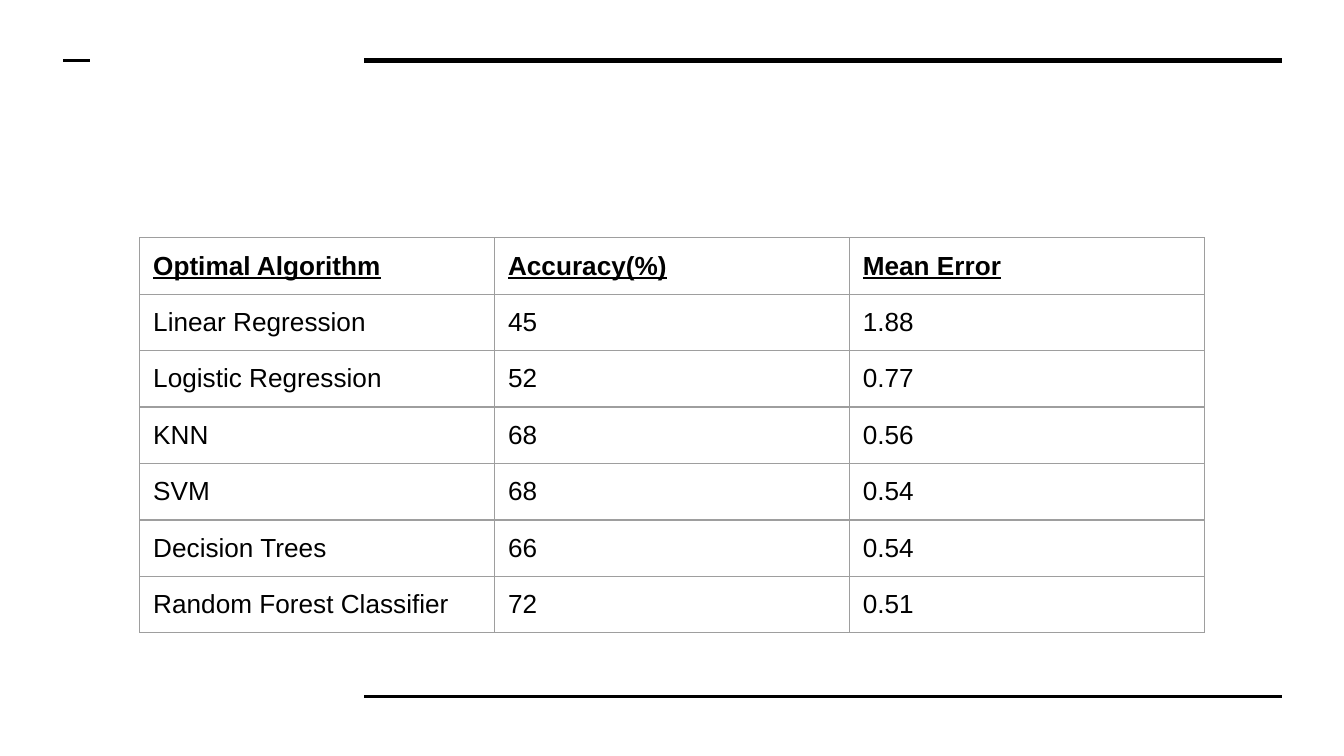
from lxml import etree
from pptx import Presentation
from pptx.dml.color import RGBColor
from pptx.enum.shapes import MSO_CONNECTOR
from pptx.oxml.ns import qn
from pptx.util import Inches, Pt

STRAIGHT = MSO_CONNECTOR.STRAIGHT
BLACK = RGBColor(0x00, 0x00, 0x00)
GREY = RGBColor(0x9E, 0x9E, 0x9E)

SLIDE_WIDTH = Inches(10)
SLIDE_HEIGHT = SLIDE_WIDTH * 9 // 16
FONT_NAME = "Arial"
FONT_SIZE = Pt(14)
CELL_MARGIN = Inches(0.1)
BORDER_WIDTH = Pt(0.75)
TABLE_LEFT, TABLE_TOP = Inches(1.04), Inches(1.77)
COLUMN_WIDTH, ROW_HEIGHT = Inches(2.64), Inches(0.42)

# Left and right ends, height on the slide, thickness in points
RULES = [
    (2.71, 9.54, 0.45, 3),
    (2.71, 9.54, 5.18, 1.5),
    (0.47, 0.67, 0.45, 1.5),
]

RESULTS = [
    ("Optimal Algorithm", "Accuracy(%)", "Mean Error"),
    ("Linear Regression", "45", "1.88"),
    ("Logistic Regression", "52", "0.77"),
    ("KNN", "68", "0.56"),
    ("SVM", "68", "0.54"),
    ("Decision Trees", "66", "0.54"),
    ("Random Forest Classifier", "72", "0.51"),
]


def add_rule(slide, left, right, height, thickness):
    """Draw a horizontal black line without a shadow."""
    rule = slide.shapes.add_connector(
        STRAIGHT, Inches(left), Inches(height), Inches(right), Inches(height)
    )
    rule.line.color.rgb = BLACK
    rule.line.width = Pt(thickness)
    etree.SubElement(rule._element.spPr, qn("a:effectLst"))


def set_borders(cell):
    properties = cell._tc.get_or_add_tcPr()
    for position, side in enumerate(("lnL", "lnR", "lnT", "lnB")):
        border = etree.Element(qn(f"a:{side}"), w=str(BORDER_WIDTH))
        fill = etree.SubElement(border, qn("a:solidFill"))
        etree.SubElement(fill, qn("a:srgbClr"), val=str(GREY))
        properties.insert(position, border)


def fill_cell(cell, text, is_header):
    cell.text = text
    cell.margin_left = cell.margin_right = CELL_MARGIN
    cell.margin_top = cell.margin_bottom = CELL_MARGIN
    cell.fill.background()
    set_borders(cell)
    font = cell.text_frame.paragraphs[0].font
    font.name = FONT_NAME
    font.size = FONT_SIZE
    font.color.rgb = BLACK
    font.bold = font.underline = is_header


def add_results_table(slide):
    row_count, column_count = len(RESULTS), len(RESULTS[0])
    table = slide.shapes.add_table(
        row_count, column_count, TABLE_LEFT, TABLE_TOP,
        COLUMN_WIDTH * column_count, ROW_HEIGHT * row_count,
    ).table
    table.horz_banding = False
    table.first_row = False
    for row_index, texts in enumerate(RESULTS):
        for column_index, text in enumerate(texts):
            fill_cell(table.cell(row_index, column_index), text, row_index == 0)


def main():
    presentation = Presentation()
    presentation.slide_width = SLIDE_WIDTH
    presentation.slide_height = SLIDE_HEIGHT
    slide = presentation.slides.add_slide(presentation.slide_layouts[6])
    for rule in RULES:
        add_rule(slide, *rule)
    add_results_table(slide)
    presentation.save("out.pptx")


if __name__ == "__main__":
    main()
